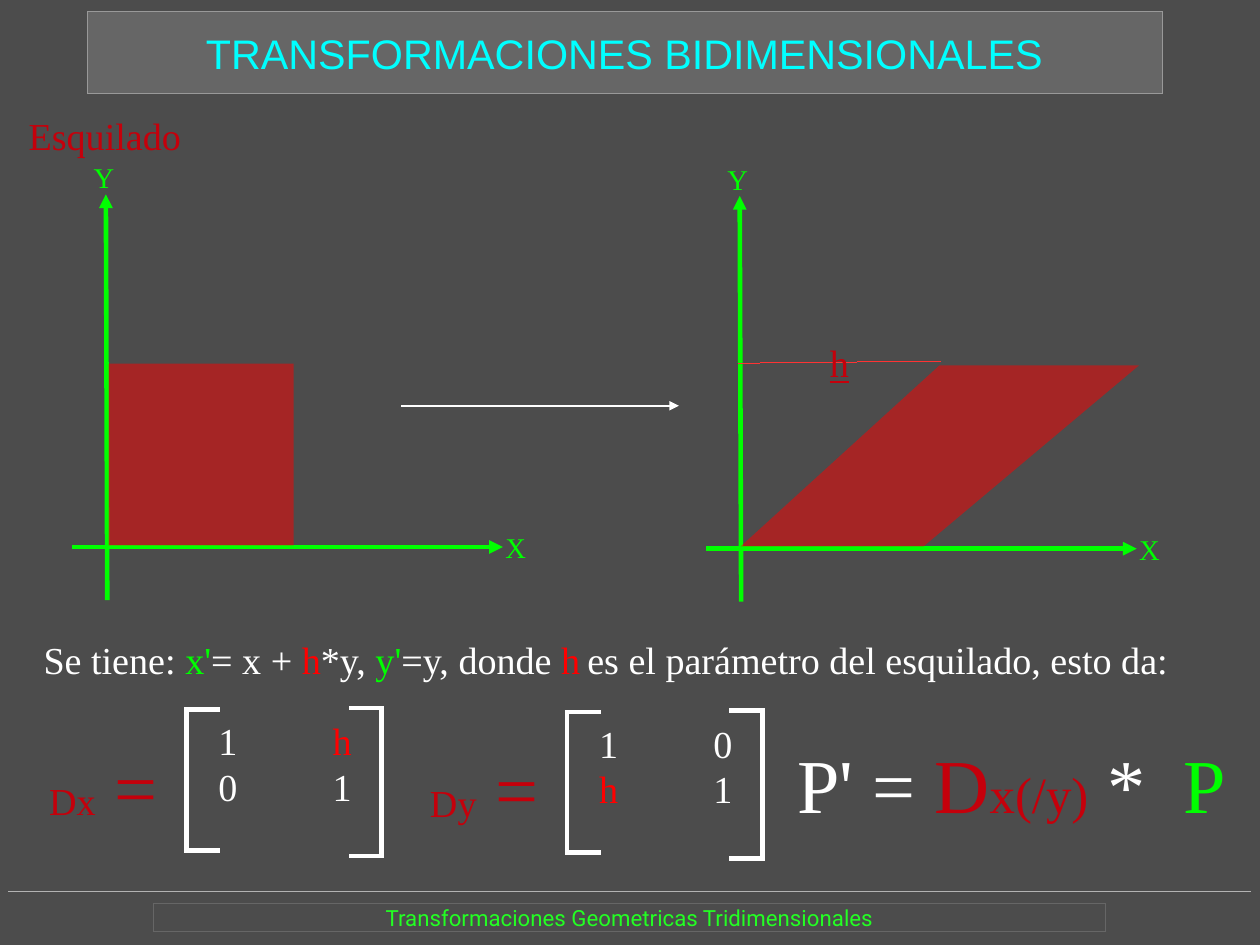
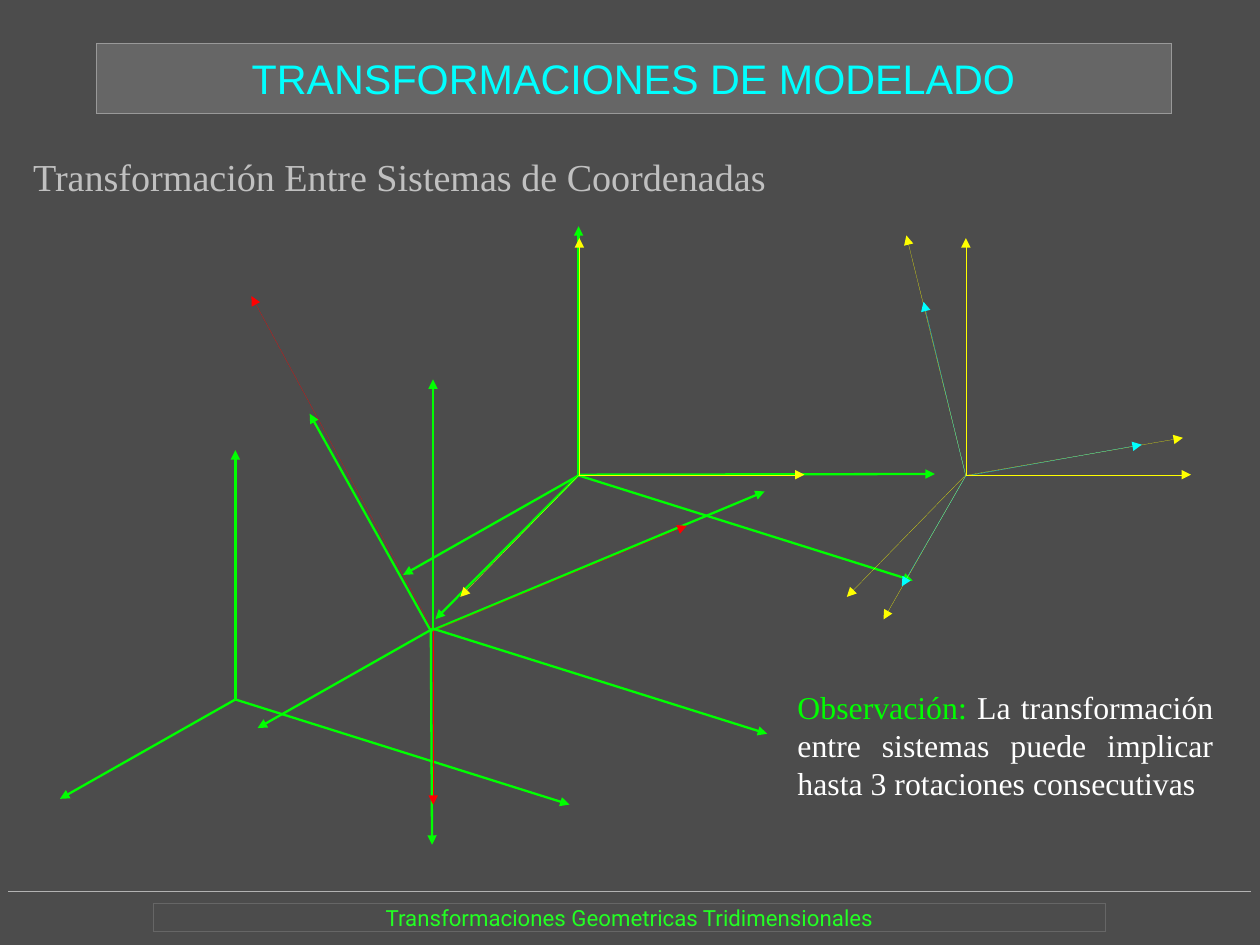
from dataclasses import dataclass

from lxml.etree import SubElement
from pptx import Presentation
from pptx.dml.color import RGBColor
from pptx.enum.shapes import MSO_CONNECTOR as Conn, MSO_SHAPE as Shp
from pptx.enum.text import MSO_ANCHOR as Anchor, MSO_AUTO_SIZE as AutoSize, PP_ALIGN as Align
from pptx.oxml.ns import qn
from pptx.util import Pt

Point = tuple[float, float]
Box = tuple[float, float, float, float]


# Theme: colours, fonts, type sizes and line widths
@dataclass(frozen=True)
class Theme:
    background: str = "4C4C4C"
    band: str = "666666"
    band_line: str = "999999"
    rule: str = "B3B3B3"
    footer: str = "23FF23"
    white: str = "FFFFFF"
    grey: str = "C0C0C0"
    green: str = "00FF00"
    red: str = "FF0000"
    thin_red: str = "FF3333"
    dark_red: str = "C5000B"
    cyan: str = "00FFFF"
    yellow: str = "FFFF00"
    title_font: str = "Arial"
    footer_font: str = "Roboto"
    body_font: str = "Times New Roman"
    title: float = 26
    body: float = 24
    note: float = 20
    label: float = 18
    small: float = 14
    formula: float = 48
    subscript: float = 32
    lowered: float = 31
    hairline: float = 0
    medium: float = 1.45
    heavy: float = 2.89


T = Theme()


@dataclass(frozen=True)
class Run:
    text: str
    color: str = T.white
    size: float = T.body
    underline: bool = False
    baseline: int = 0


@dataclass(frozen=True)
class Frame:
    """Coordinate system: an origin and its axis tips, relative to it."""
    origin: Point
    tips: tuple[Point, ...]
    color: str = T.green
    width: float = T.medium


# Drawing helpers
def rgb(color: str) -> RGBColor:
    return RGBColor.from_string(color)


def pts(*values: float) -> list[Pt]:
    return [Pt(v) for v in values]


def set_line(line, color: str, width: float) -> None:
    line.color.rgb = rgb(color)
    # A zero width must be written out, or the theme's width applies
    line._get_or_add_ln().set("w", str(Pt(width)))


def prepare_frame(tf, anchor=Anchor.TOP) -> None:
    tf.margin_left = tf.margin_top = tf.margin_right = tf.margin_bottom = 0
    tf.word_wrap = True
    tf.auto_size = AutoSize.NONE
    tf.vertical_anchor = anchor


def write_run(p, text: str, *, font: str, size: float, color: str,
              underline: bool = False, baseline: int = 0) -> None:
    r = p.add_run()
    r.text = text
    r.font.name, r.font.size = font, Pt(size)
    r.font.color.rgb = rgb(color)
    if underline:
        r.font.underline = True
    if baseline:
        r._r.get_or_add_rPr().set("baseline", str(baseline * 1000))


def add_text(s, box: Box, *paragraphs: list[Run], align=Align.LEFT,
             anchor=Anchor.TOP, tab: float | None = None) -> None:
    tf = s.shapes.add_textbox(*pts(*box)).text_frame
    prepare_frame(tf, anchor)
    for i, runs in enumerate(paragraphs):
        p = tf.paragraphs[0] if i == 0 else tf.add_paragraph()
        if tab is not None:
            tabs = SubElement(p._p.get_or_add_pPr(), qn("a:tabLst"))
            SubElement(tabs, qn("a:tab"), pos=str(Pt(tab)), algn="l")
        p.alignment = align
        p.line_spacing = Pt(1.2 * max(run.size for run in runs))
        for run in runs:
            write_run(p, run.text, font=T.body_font, size=run.size, color=run.color,
                      underline=run.underline, baseline=run.baseline)


def add_line(s, start: Point, end: Point, color: str, width: float, arrow: bool = False):
    line = s.shapes.add_connector(Conn.STRAIGHT, *pts(*start, *end))
    set_line(line.line, color, width)
    if arrow:
        SubElement(line.line._get_or_add_ln(), qn("a:tailEnd"), type="triangle")
    SubElement(line.element.spPr, qn("a:effectLst"))
    return line


def fill_translucent(sp) -> None:
    sp.shadow.inherit = False
    sp.fill.solid()
    sp.fill.fore_color.rgb = rgb(T.red)
    color = sp.element.spPr.find(qn("a:solidFill")).find(qn("a:srgbClr"))
    SubElement(color, qn("a:alpha"), val="50000")
    sp.line.fill.background()


# Shared parts
def set_title(s, text: str, box: Box) -> None:
    sp = s.shapes.title
    sp.left, sp.top, sp.width, sp.height = pts(*box)
    sp.fill.solid()
    sp.fill.fore_color.rgb = rgb(T.band)
    set_line(sp.line, T.band_line, T.hairline)
    prepare_frame(sp.text_frame, Anchor.MIDDLE)
    p = sp.text_frame.paragraphs[0]
    p.alignment = Align.CENTER
    write_run(p, text, font=T.title_font, size=T.title, color=T.cyan)


def build_master(prs, s) -> None:
    """Set the background and move the footer from slide s to the master."""
    master = prs.slide_master
    master.background.fill.solid()
    master.background.fill.fore_color.rgb = rgb(T.background)
    rule = add_line(s, (5.5, 561.4), (787.7, 561.4), T.rule, T.hairline)
    sp = s.shapes.add_shape(Shp.RECTANGLE, *pts(96.5, 569.4, 600.2, 17.2))
    sp.shadow.inherit = False
    sp.fill.background()
    set_line(sp.line, T.band, T.hairline)
    prepare_frame(sp.text_frame, Anchor.MIDDLE)
    p = sp.text_frame.paragraphs[0]
    p.alignment = Align.CENTER
    write_run(p, "Transformaciones Geometricas Tridimensionales",
              font=T.footer_font, size=T.small, color=T.footer)
    for number, shape in enumerate((rule, sp), start=101):
        shape.element.xpath(".//p:cNvPr")[0].set("id", str(number))
        master.shapes.element.append(shape.element)


# Parts of the shear slide
def add_plot(s, dx: float = 0, dy: float = 0) -> None:
    for start, end in (((67.6, 378), (66.7, 122.4)), ((45.4, 344.6), (316.8, 344.6))):
        add_line(s, (start[0] + dx, start[1] + dy), (end[0] + dx, end[1] + dy),
                 T.green, T.heavy, arrow=True)
    for name, x, y in (("Y", 59, 101), ("X", 318.4, 334)):
        add_text(s, (x + dx, y + dy, 17.3, 21.6), [Run(name, T.green, T.label)])


def add_bracket(s, x: float, top: float, bottom: float, tip: float) -> None:
    corner = x - T.heavy / 2 if tip > x else x + T.heavy / 2
    add_line(s, (x, bottom), (x, top), T.white, T.heavy)
    for y in (top, bottom):
        add_line(s, (corner, y), (tip, y), T.white, T.heavy)


def add_matrix(s, name: str, rows: tuple[str, ...], dx: float = 0, dy: float = 0) -> None:
    add_text(s, (31 + dx, 465.8 + dy, 81.4, 57.6),
             [Run(name, T.dark_red), Run(" =", T.dark_red, T.formula)])
    cells = []
    for row in rows:
        first, second = row.split()
        cells.append([Run(text, T.red if "h" in text else T.white)
                      for text in (first + "\t", second)])
    add_text(s, (137.5 + dx, 452.2 + dy, 92.2, 86.4), *cells, tab=72)
    add_bracket(s, 117.4 + dx, 447.1 + dy, 535.7 + dy, 138.8 + dx)
    add_bracket(s, 240.5 + dx, 446 + dy, 539.3 + dy, 219.6 + dx)


def build_shear(s) -> None:
    add_text(s, (18, 70.6, 104.4, 28.8), [Run("Esquilado", T.dark_red)])

    # Square and its sheared image
    add_plot(s)
    fill_translucent(s.shapes.add_shape(Shp.RECTANGLE, *pts(68.4, 229, 116.6, 114.5)))
    add_plot(s, 399.3, 1)
    corners = [(466.6, 344.2), (591.8, 230.2), (717.5, 230.2), (581.8, 344.2)]
    outline = s.shapes.build_freeform(*pts(*corners[0]))
    outline.add_line_segments([tuple(pts(*c)) for c in corners[1:]], close=True)
    fill_translucent(outline.convert_to_shape())
    add_line(s, (252.7, 255.6), (427.7, 255.6), T.white, T.medium, arrow=True)
    add_line(s, (465.1, 228.8), (592.6, 227.5), T.thin_red, T.hairline)
    add_text(s, (465.1, 213.8, 127.5, 28.8), [Run("h", T.dark_red, underline=True)],
             align=Align.CENTER, anchor=Anchor.MIDDLE)

    # Equations
    add_text(s, (27.4, 394.2, 740.2, 33.1),
             [Run("Se tiene: "), Run("x'", T.green), Run("= x + "), Run("h", T.red),
              Run("*y, "), Run("y'", T.green), Run("=y, donde "), Run("h", T.red),
              Run(" ", T.red, T.lowered, baseline=-5),
              Run("es el parámetro del esquilado, esto da:")],
             align=Align.JUSTIFY)
    add_matrix(s, "Dx", ("1 h", "0 1"))
    add_matrix(s, "Dy", ("1 0", "h 1"), 239.9, 1.4)
    add_text(s, (502.4, 464.2, 280, 57.6),
             [Run("P' = ", size=T.formula), Run("D", T.dark_red, T.formula),
              Run("x(/y)", T.dark_red, T.subscript), Run(" *\t", size=T.formula),
              Run("P", T.green, T.formula)], tab=243)


# Parts of the coordinate systems slide
OBLIQUE = ((0, -157), (210.5, 66.2), (-110.5, 62.6))
UPRIGHT = ((141.8, 0), (0, -149), (-75, 77))
FRAMES = (
    Frame((271.4, 397.4), ((-76.3, -136.8), (210.3, -87.8), (0.8, 134.7))),
    Frame((364.7, 299), ((-90.4, 91), (224.3, -0.4))),
    Frame((364.5, 299.5), OBLIQUE),
    Frame((148.3, 440.6), OBLIQUE),
    Frame((608.4, 299.5), ((136.8, -23.7), (-37.4, -151.2), (-51.8, 90.7)), T.yellow, T.hairline),
    Frame((365, 299), UPRIGHT, T.yellow, T.hairline),
    Frame((272.9, 397.4), ((-114.5, -210.9), (159.8, -66.2), (0, 109.5)), T.red, T.hairline),
    Frame((608.4, 299.9), ((110.9, -19.8), (-26.6, -109.8), (-40.3, 69.5)), T.cyan, T.hairline),
    Frame((608.5, 299), UPRIGHT, T.yellow, T.hairline),
    Frame((272.8, 396), OBLIQUE),
)


def build_systems(s) -> None:
    add_text(s, (20.9, 96.5, 717.1, 28.8),
             [Run("Transformación Entre Sistemas de Coordenadas", T.grey)])
    for frame in FRAMES:
        x, y = frame.origin
        for dx, dy in frame.tips:
            add_line(s, (x, y), (x + dx, y + dy), frame.color, frame.width, arrow=True)
    add_text(s, (502.4, 433.2, 262.1, 75.6),
             [Run("Observación:", T.green, T.note),
              Run(" La transformación entre sistemas puede implicar hasta 3 rotaciones "
                  "consecutivas", size=T.note)], align=Align.JUSTIFY)


def main() -> None:
    prs = Presentation()
    prs.slide_width, prs.slide_height = pts(793.75, 595.25)
    title_only = prs.slide_layouts[5]

    s = prs.slides.add_slide(title_only)
    build_master(prs, s)
    set_title(s, "TRANSFORMACIONES BIDIMENSIONALES", (55, 7.2, 677.5, 51.8))
    build_shear(s)

    s = prs.slides.add_slide(title_only)
    set_title(s, "TRANSFORMACIONES DE MODELADO", (60.7, 27.4, 677.5, 43.9))
    build_systems(s)

    prs.save("out.pptx")


if __name__ == "__main__":
    main()
